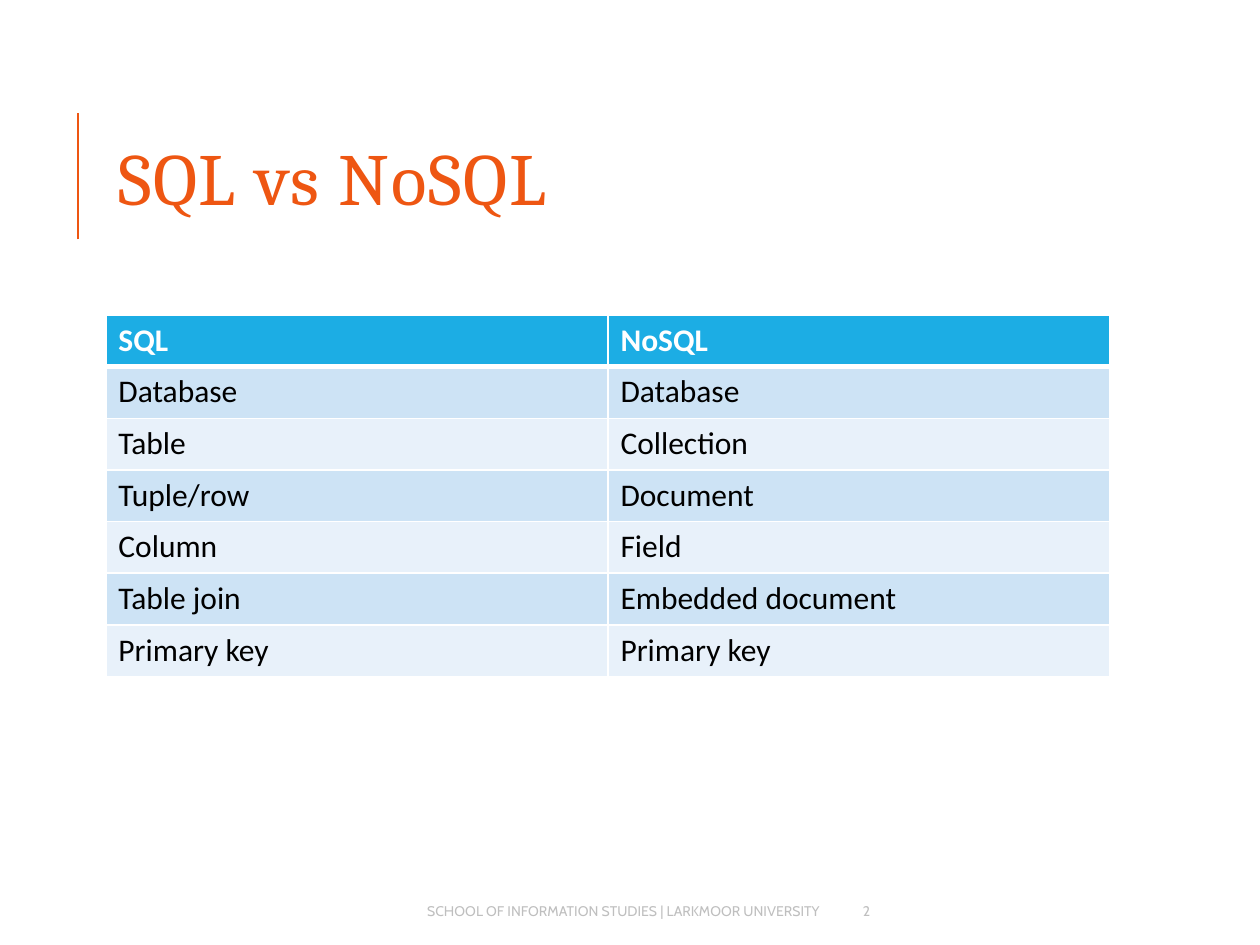
from lxml.etree import SubElement
from pptx import Presentation
from pptx.dml.color import RGBColor
from pptx.enum.shapes import MSO_CONNECTOR
from pptx.enum.text import MSO_ANCHOR, PP_ALIGN
from pptx.oxml import parse_xml
from pptx.oxml.ns import nsdecls, qn
from pptx.util import Inches, Pt

# Content
TITLE = "SQL vs NoSQL"
TERMS = [
    ("SQL", "NoSQL"),
    ("Database", "Database"),
    ("Table", "Collection"),
    ("Tuple/row", "Document"),
    ("Column", "Field"),
    ("Table join", "Embedded document"),
    ("Primary key", "Primary key"),
]
FOOTER = "SCHOOL OF INFORMATION STUDIES | LARKMOOR UNIVERSITY"
PAGE = "2"

ORANGE = RGBColor(0xEE, 0x56, 0x12)
BLUE = RGBColor(0x1C, 0xAD, 0xE4)
BANDS = (RGBColor(0xE8, 0xF1, 0xFA), RGBColor(0xCD, 0xE3, 0xF5))
WHITE = RGBColor(0xFF, 0xFF, 0xFF)
BLACK = RGBColor(0, 0, 0)
GRAY = RGBColor(0xBF, 0xBF, 0xBF)

LEFT, WIDTH = 0.84, 7.97
TABLE_TOP, ROW_HEIGHT = 2.5, 0.41


def write(tf, text, *, size, font, color, bold=False, align=PP_ALIGN.LEFT,
          line_spacing=None, tracking=None):
    p = tf.paragraphs[0]
    p.alignment = align
    p.line_spacing = line_spacing
    r = p.add_run()
    r.text = text
    r.font.size, r.font.name, r.font.bold = Pt(size), font, bold
    r.font.color.rgb = color
    if tracking:
        r.font._element.set("spc", str(tracking * 100))


def add_text(s, text, x, y, w, h, **fmt):
    tf = s.shapes.add_textbox(Inches(x), Inches(y), Inches(w), Inches(h)).text_frame
    tf.word_wrap = True
    tf.vertical_anchor = MSO_ANCHOR.MIDDLE
    write(tf, text, **fmt)


def set_borders(cell, color, widths):
    tcPr = cell._tc.get_or_add_tcPr()
    for i, (side, width) in enumerate(widths.items()):
        tcPr.insert(i, parse_xml(
            f'<a:ln{side} {nsdecls("a")} w="{Pt(width)}"><a:solidFill>'
            f'<a:srgbClr val="{color}"/></a:solidFill></a:ln{side}>'))


prs = Presentation()
prs.slide_width, prs.slide_height = Inches(10), Inches(7.5)
s = prs.slides.add_slide(prs.slide_layouts[6])

# Title with accent line
accent = s.shapes.add_connector(MSO_CONNECTOR.STRAIGHT, Inches(0.62), Inches(1.9),
                                Inches(0.62), Inches(0.9))
accent.line.color.rgb = ORANGE
accent.line.width = Pt(1.5)
SubElement(accent._element.spPr, qn("a:effectLst"))
add_text(s, TITLE, LEFT, 0.64, WIDTH, 1.64, size=42, font="Cambria", color=ORANGE,
         line_spacing=0.8, tracking=1)

# Term comparison table
table = s.shapes.add_table(len(TERMS), len(TERMS[0]), Inches(LEFT), Inches(TABLE_TOP),
                           Inches(WIDTH), Inches(ROW_HEIGHT * len(TERMS))).table
for i, terms in enumerate(TERMS):
    header = i == 0
    table.rows[i].height = Inches(ROW_HEIGHT)
    for j, term in enumerate(terms):
        cell = table.cell(i, j)
        cell.fill.solid()
        cell.fill.fore_color.rgb = BLUE if header else BANDS[i % 2]
        set_borders(cell, WHITE, {"L": 1, "R": 1, "T": 3 if i == 1 else 1,
                                  "B": 3 if header else 1})
        write(cell.text_frame, term, size=18, font="Calibri",
              color=WHITE if header else BLACK, bold=header)

# Footer and page number
small = dict(size=8, font="Cabin", color=GRAY)
add_text(s, FOOTER, 1.89, 7.08, 4.72, 0.3, align=PP_ALIGN.RIGHT, **small)
add_text(s, PAGE, 6.75, 7.08, 0.91, 0.3, **small)

prs.save("out.pptx")
